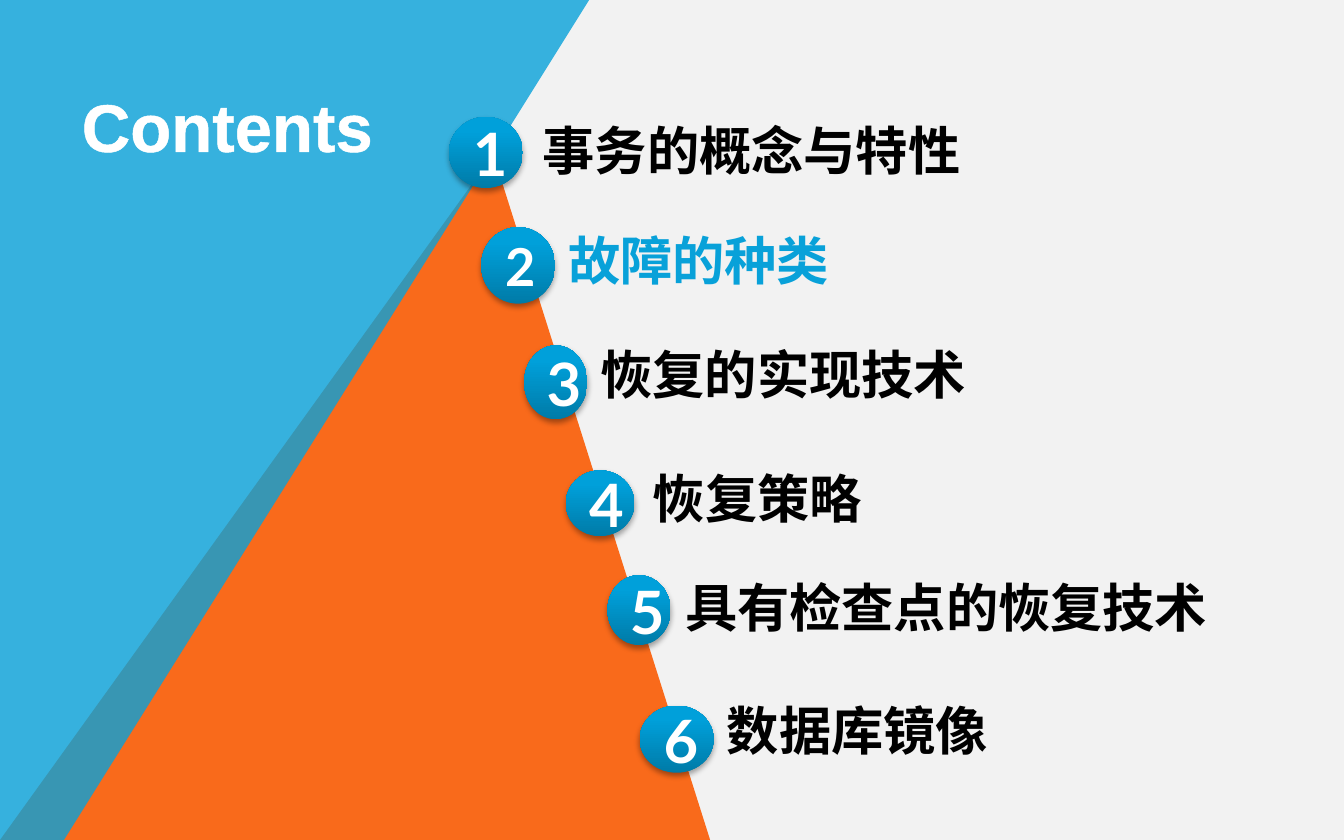
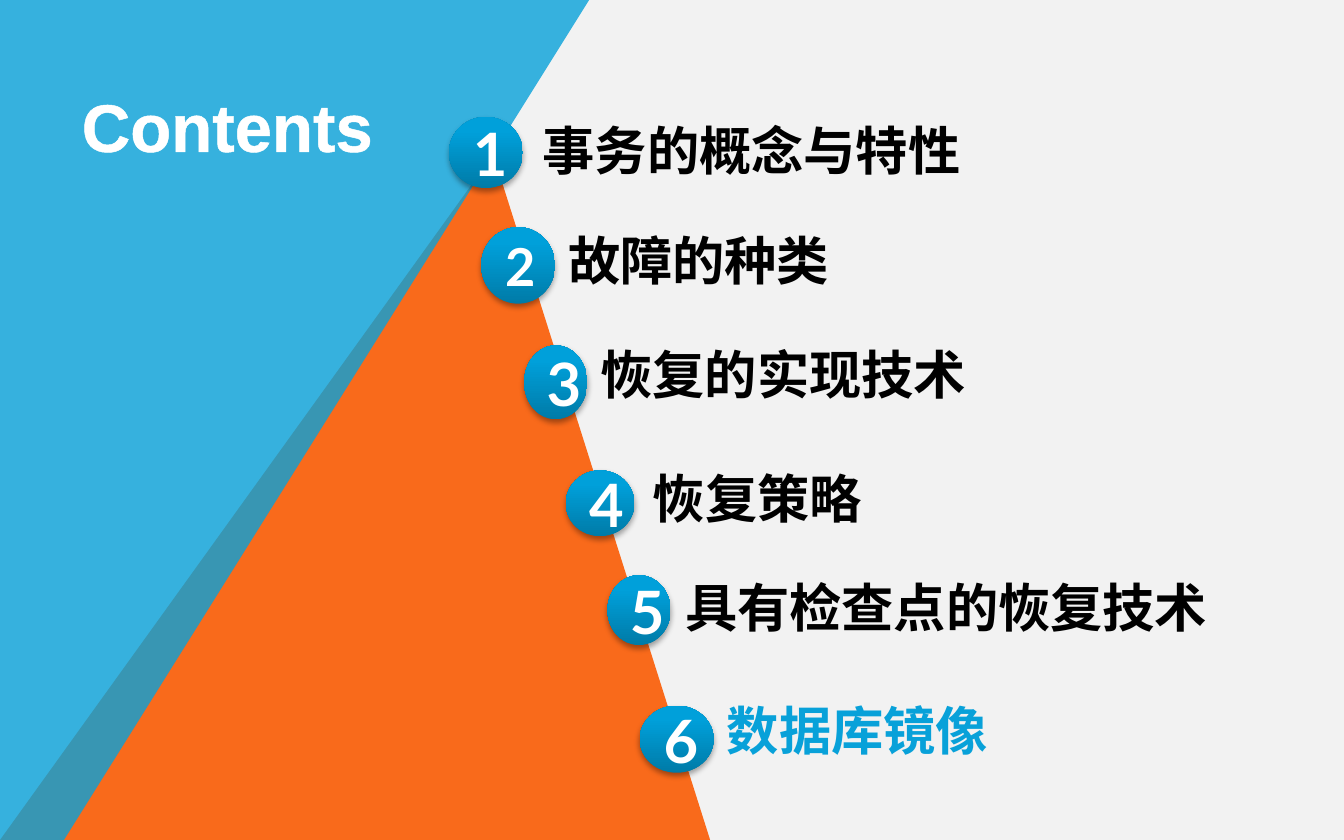
from lxml import etree
from pptx import Presentation
from pptx.dml.color import RGBColor
from pptx.enum.shapes import MSO_SHAPE
from pptx.enum.text import MSO_ANCHOR, MSO_AUTO_SIZE, PP_ALIGN
from pptx.oxml import parse_xml
from pptx.oxml.ns import nsdecls, qn
from pptx.util import Pt

OVAL = MSO_SHAPE.OVAL
MIDDLE = MSO_ANCHOR.MIDDLE
CENTER = PP_ALIGN.CENTER
GROW = MSO_AUTO_SIZE.SHAPE_TO_FIT_TEXT

PX = 9144  # 100 px to the inch
WIDE, HIGH = 1000, 625

PAPER, ORANGE, BLUE = "F2F2F2", "F96A1B", "08A1D9"
WHITE, BLACK = "FFFFFF", "000000"
SHADES = [(0, "007BA8"), (80, "00A0DA"), (100, "00A0DB")]

# Bands: points, colour, opacity in percent
BANDS = [
    ([(0, 625), (367, 115), (529, 627)], ORANGE, 100),
    ([(-1, 629), (0, -1), (439, -1), (47, 626)], BLUE, 80),
]
TITLE = ("Contents", (51, 53, 268, 59))

# Items: text, badge box, digit size, label left, top and width
ITEMS = [
    ("事务的概念与特性", (334, 87, 55, 53), 32, (394, 83, 366)),
    ("故障的种类", (358, 169, 55, 57), 28, (413, 165, 220)),
    ("恢复的实现技术", (390, 257, 47, 55), 32, (437, 250, 299)),
    ("恢复策略", (421, 350, 51, 49), 32, (476, 342, 189)),
    ("具有检查点的恢复技术", (452, 428, 47, 52), 32, (500, 423, 425)),
    ("数据库镜像", (476, 525, 55, 50), 32, (531, 515, 229)),
]
LABEL_H = 57
ACTIVE = [2, 6]  # highlighted item on each slide


def rgb(code):
    return RGBColor.from_string(code)


def emu(box):
    return [n * PX for n in box]


def write(frame, text, size, face, color):
    frame.word_wrap = True
    para = frame.paragraphs[0]
    run = para.add_run()
    run.text = text
    font = para.font
    font.size, font.name, font.bold = Pt(size), face, True
    font.color.rgb = rgb(color)
    return para


def add_text(slide, box, text, size, color):
    frame = slide.shapes.add_textbox(*emu(box)).text_frame
    write(frame, text, size, "Arial", color)
    return frame


def add_band(slide, points, color, alpha):
    pen = slide.shapes.build_freeform(*points[0], scale=PX)
    pen.add_line_segments(points[1:], close=True)
    band = pen.convert_to_shape()
    band.shadow.inherit = False
    band.line.fill.background()
    band.fill.solid()
    band.fill.fore_color.rgb = rgb(color)
    if alpha < 100:
        tint = band.fill._xPr.find(".//" + qn("a:srgbClr"))
        etree.SubElement(tint, qn("a:alpha"), val=str(alpha * 1000))


def add_title(slide):
    text, box = TITLE
    frame = add_text(slide, box, text, 36, WHITE)
    frame.margin_top = 10 * PX
    # White outline round the letters
    props = frame.paragraphs[0].runs[0]._r.get_or_add_rPr()
    props.insert(0, parse_xml(
        f'<a:ln {nsdecls("a")} w="{Pt(1.45)}"><a:solidFill>'
        f'<a:srgbClr val="{WHITE}"/></a:solidFill></a:ln>'))


def add_badge(slide, box, digit, size):
    badge = slide.shapes.add_shape(OVAL, *emu(box))
    badge.line.fill.background()
    badge.shadow.inherit = False
    # Three-stop gradient, dark at the foot
    badge.fill.gradient()
    badge.fill.gradient_angle = 90
    stops = badge.fill._xPr.find(".//" + qn("a:gsLst"))
    stops[:] = [parse_xml(
        f'<a:gs {nsdecls("a")} pos="{pos * 1000}"><a:srgbClr val="{color}"/></a:gs>')
        for pos, color in SHADES]
    # Soft shadow below
    effects = badge._element.spPr.find(qn("a:effectLst"))
    effects.append(parse_xml(
        f'<a:outerShdw {nsdecls("a")} blurRad="{Pt(3.1)}" dist="{Pt(1.8)}" '
        f'dir="5400000" rotWithShape="0"><a:srgbClr val="{BLACK}">'
        '<a:alpha val="35000"/></a:srgbClr></a:outerShdw>'))
    frame = badge.text_frame
    frame.vertical_anchor = MIDDLE
    write(frame, digit, size, "Lato", WHITE).alignment = CENTER


def add_page(deck, active):
    slide = deck.slides.add_slide(deck.slide_layouts[6])
    for band in BANDS:
        add_band(slide, *band)
    add_title(slide)
    for num, (text, box, size, spot) in enumerate(ITEMS, 1):
        add_badge(slide, box, str(num), size)
        color = BLUE if num == active else BLACK
        frame = add_text(slide, (*spot, LABEL_H), text, 28, color)
        frame.auto_size = GROW


def main():
    deck = Presentation()
    deck.slide_width, deck.slide_height = emu((WIDE, HIGH))
    back = deck.slide_master.background.fill
    back.solid()
    back.fore_color.rgb = rgb(PAPER)
    for active in ACTIVE:
        add_page(deck, active)
    deck.save("out.pptx")


if __name__ == "__main__":
    main()
